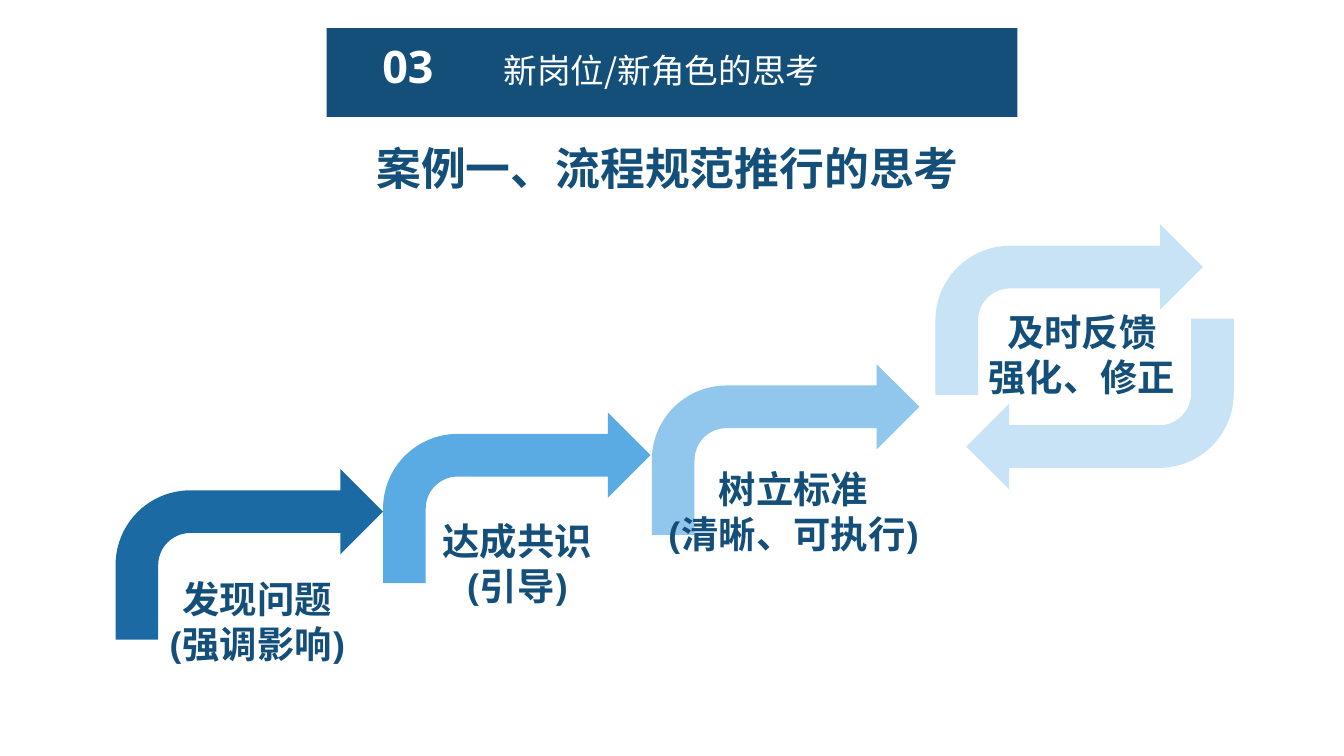
from pptx import Presentation
from pptx.dml.color import RGBColor
from pptx.enum import shapes, text
from pptx.oxml import ns
from pptx.util import Inches, Pt

COLORS = {"navy": "144F7A", "deep": "1B6AA3", "mid": "5AAAE4",
          "soft": "91C6ED", "pale": "C8E3F6", "white": "FFFFFF"}
CJK_FONT = "Noto Sans CJK SC"
ARROW_WIDTH, ARROW_HEIGHT = 1.99, 1.27
LEFT, CENTER = text.PP_ALIGN.LEFT, text.PP_ALIGN.CENTER


def write(box, lines, size, color, latin, asian="Calibri", bold=True, align=CENTER):
    """Fill a box with one formatted paragraph per line."""
    frame = box.text_frame
    frame.vertical_anchor = text.MSO_ANCHOR.TOP
    frame.auto_size = text.MSO_AUTO_SIZE.NONE
    frame.word_wrap = True
    for index, line in enumerate(lines):
        para = frame.add_paragraph() if index else frame.paragraphs[0]
        para.alignment = align
        para.space_before = Pt(0)
        span = para.add_run()
        span.text = line
        font = span.font
        font.size, font.bold, font.name = Pt(size), bold, latin
        font.color.rgb = RGBColor.from_string(COLORS[color])
        # East Asian typeface follows the latin one
        east = span._r.get_or_add_rPr().makeelement(ns.qn("a:ea"), {"typeface": asian})
        font._element.find(ns.qn("a:latin")).addnext(east)


def add_text(page, left, top, width, height, lines, **style):
    box = page.shapes.add_textbox(*map(Inches, (left, top, width, height)))
    write(box, lines, **style)


def add_block(page, kind, left, top, width, height, color):
    block = page.shapes.add_shape(kind, *map(Inches, (left, top, width, height)))
    block.shadow.inherit = False
    block.fill.solid()
    block.fill.fore_color.rgb = RGBColor.from_string(COLORS[color])
    block.line.fill.background()
    return block


def add_header(page, left, top, width, height):
    """Section banner with its number and name."""
    add_block(page, shapes.MSO_SHAPE.RECTANGLE, left, top, width, height, "navy")
    add_text(page, left - 0.01, top + 0.03, 1.23, 0.5, ["03"],
             size=24, color="white", latin="Open Sans")
    add_text(page, left + 1.22, top + 0.11, 2.7, 0.4, ["新岗位/新角色的思考"],
             size=18, color="white", latin=CJK_FONT, asian=CJK_FONT,
             bold=False, align=LEFT)


def add_title(page, left, top, width, height):
    title = page.shapes.title
    title.left, title.top, title.width, title.height = map(
        Inches, (left, top, width, height))
    write(title, ["案例一、流程规范推行的思考"], size=24, color="navy",
          latin="Calibri", align=LEFT)
    title.text_frame.word_wrap = False


def add_arrow(page, left, top, color):
    return add_block(page, shapes.MSO_SHAPE.BENT_ARROW, left, top,
                     ARROW_WIDTH, ARROW_HEIGHT, color)


def add_step(page, left, top, color, lines, shift, drop, width):
    """Bent arrow with a label set off from its top-left corner."""
    add_arrow(page, left, top, color)
    add_text(page, left + shift, top + drop, width, 0.77, lines,
             size=20, color="navy", latin="Open Sans")


def main():
    deck = Presentation()
    deck.slide_width = Inches(10)
    deck.slide_height = deck.slide_width * 9 // 16
    page = deck.slides.add_slide(deck.slide_layouts.get_by_name("Title Only"))

    add_header(page, 2.43, 0.21, 5.14, 0.66)
    add_title(page, 2.7, 1, 4.6, 0.5)

    # Rising steps: left, top, colour, label, label shift, drop and width
    steps = [
        (0.86, 3.49, "deep", ["发现问题", "(强调影响)"], 0.12, 0.75, 1.87),
        (2.85, 3.07, "mid", ["达成共识", "(引导)"], 0.22, 0.74, 1.56),
        (4.85, 2.71, "soft", ["树立标准", "(清晰、可执行)"], 0, 0.71, 2.11),
        (6.96, 1.67, "pale", ["及时反馈", "强化、修正"], 0.19, 0.58, 1.8),
    ]
    for step in steps:
        add_step(page, *step)

    # Return arrow closing the feedback loop
    add_arrow(page, 7.19, 2.37, "pale").rotation = 180

    deck.save("out.pptx")


if __name__ == "__main__":
    main()
